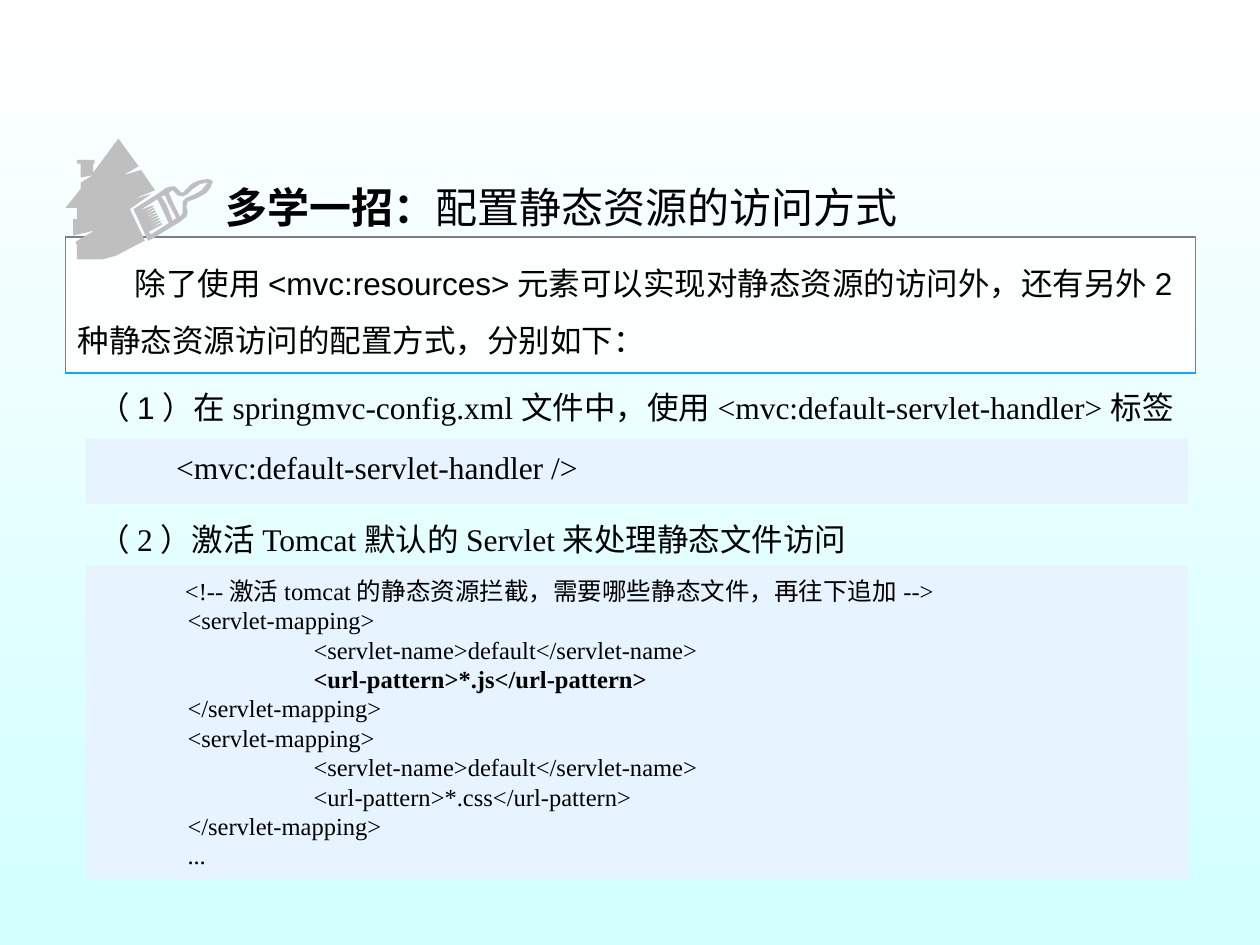
import pptx
import pptx.dml.color
import pptx.enum.shapes
import pptx.oxml.ns
import pptx.util
from dataclasses import dataclass
from lxml import etree

Inches = pptx.util.Inches
Pt = pptx.util.Pt


@dataclass(frozen=True)
class Theme:
    sky: str = "FFFFFF"
    aqua: str = "D2FFFF"
    panel: str = "FFFFFF"
    code_panel: str = "E7F4FF"
    border: str = "7F7F7F"
    accent: str = "00B0F0"
    icon: str = "BFBFBF"
    ink: str = "000000"
    sans: str = "Arial"
    heading: str = "Noto Sans CJK SC"
    serif: str = "Times New Roman"
    title_size: int = 24
    body_size: int = 18
    listing_size: int = 14


THEME = Theme()

HOUSE = [[
    (29, 96), (40, 93), (63, 81), (51, 56), (68, 44), (54, 48), (71, 41),
    (60, 25), (46, 29), (58, 22), (42, 0), (22, 27), (22, 20), (23, 20),
    (23, 17), (9, 17), (9, 20), (12, 20), (12, 31), (22, 29), (12, 35),
    (12, 40), (0, 55), (9, 55), (9, 64), (6, 64), (6, 77), (23, 73),
    (8, 82), (9, 85), (9, 96),
]]
BRISTLES = [
    point
    for step in range(8)
    for point in ((12 - step, 42 - 2 * step), (23 - step, 36 - 2 * step),
                  (22 - step, 35 - 2 * step))
]
BRUSH = [
    [(62, 1), (59, 0), (53, 1), (50, 2), (46, 4), (39, 11), (37, 10),
     (33, 6), (30, 6), (26, 7), (19, 12), (0, 24), (11, 48), (12, 49),
     (14, 48), (37, 34), (42, 30), (43, 26), (42, 22), (43, 18), (51, 15),
     (58, 11), (61, 7), (63, 2)],
    [(50, 6), (53, 4), (59, 3), (54, 9), (49, 12), (42, 15), (39, 18),
     (39, 27), (37, 30), (32, 20), (28, 11), (31, 9), (35, 13), (39, 14),
     (43, 12), (47, 8)],
    [(28, 20), (34, 31), (31, 33), (26, 20), (22, 14), (25, 13)],
    [(21, 20), (28, 35), (14, 44), *BRISTLES, (5, 25), (19, 16)],
]

LISTING = [
    (0.48, "<!--激活tomcat的静态资源拦截，需要哪些静态文件，再往下追加-->", False),
    (0.5, "<servlet-mapping>", False),
    (1.5, "<servlet-name>default</servlet-name>", False),
    (1.5, "<url-pattern>*.js</url-pattern>", True),
    (0.5, "</servlet-mapping>", False),
    (0.5, "<servlet-mapping>", False),
    (1.5, "<servlet-name>default</servlet-name>", False),
    (1.5, "<url-pattern>*.css</url-pattern>", False),
    (0.5, "</servlet-mapping>", False),
    (0.5, "...", False),
]


def color(value):
    return pptx.dml.color.RGBColor.from_string(value)


def style(font, name, size, bold=False):
    font.name = name
    font.size = Pt(size)
    font.bold = bold
    font.color.rgb = color(THEME.ink)


def add_text_box(page, left, top, width, height):
    box = page.shapes.add_textbox(
        Inches(left), Inches(top), Inches(width), Inches(height))
    box.text_frame.word_wrap = True
    return box.text_frame


def indent(para, left, first=0):
    properties = para._p.get_or_add_pPr()
    properties.set("marL", str(Inches(left)))
    properties.set("indent", str(Inches(first)))


def add_panel(page, left, top, width, height, fill):
    panel = page.shapes.add_shape(
        pptx.enum.shapes.MSO_SHAPE.RECTANGLE,
        Inches(left), Inches(top), Inches(width), Inches(height))
    panel.shadow.inherit = False
    panel.fill.solid()
    panel.fill.fore_color.rgb = color(fill)
    panel.line.fill.background()
    return panel


def add_outline(page, left, top, contours):
    first, *others = contours
    builder = page.shapes.build_freeform(*first[0], scale=Inches(0.01))
    builder.add_line_segments(first[1:], close=True)
    for contour in others:
        builder.move_to(*contour[0])
        builder.add_line_segments(contour[1:], close=True)
    outline = builder.convert_to_shape(Inches(left), Inches(top))
    outline.shadow.inherit = False
    outline.fill.solid()
    outline.fill.fore_color.rgb = color(THEME.icon)
    outline.line.fill.background()


def add_header(page, left, top, width, height):
    add_outline(page, left, top, HOUSE)
    add_outline(page, left + 0.54, top + 0.32, BRUSH)
    frame = add_text_box(page, left + 1.17, top + 0.09, width - 1.17, height)
    para = frame.paragraphs[0]
    para.line_spacing = 1.5
    for text, bold in (("多学一招：", True), ("配置静态资源的访问方式", False)):
        span = para.add_run()
        span.text = text
        style(span.font, THEME.heading, THEME.title_size, bold)


def add_intro(page, left, top, width, height):
    panel = add_panel(page, left, top, width, height, THEME.panel)
    panel.line.color.rgb = color(THEME.border)
    panel.line.width = Pt(0.75)
    fill = panel.fill._xPr.find(".//" + pptx.oxml.ns.qn("a:srgbClr"))
    etree.SubElement(fill, pptx.oxml.ns.qn("a:alpha"), val="90000")
    edge = page.shapes.add_connector(
        pptx.enum.shapes.MSO_CONNECTOR.STRAIGHT, Inches(left),
        Inches(top + height), Inches(left + width), Inches(top + height))
    edge.line.color.rgb = color(THEME.accent)
    edge.line.width = Pt(1)
    etree.SubElement(edge._element.spPr, pptx.oxml.ns.qn("a:effectLst"))
    frame = add_text_box(page, left, top + 0.02, width, height - 0.08)
    para = frame.paragraphs[0]
    para.text = ("除了使用<mvc:resources>元素可以实现对静态资源的访问外，"
                 "还有另外2种静态资源访问的配置方式，分别如下：")
    para.line_spacing = 1.5
    indent(para, 0, 0.45)
    style(para.font, THEME.sans, THEME.body_size)


def add_step(page, left, top, width, height, spans):
    para = add_text_box(page, left, top, width, height).paragraphs[0]
    for text, name in spans:
        span = para.add_run()
        span.text = text
        style(span.font, name, THEME.body_size)


def add_code(page, left, top, width, height, lines, size):
    add_panel(page, left, top, width, height, THEME.code_panel)
    frame = add_text_box(
        page, left + 0.21, top + 0.03, width - 0.45, height - 0.05)
    for number, (margin, text, bold) in enumerate(lines):
        para = frame.add_paragraph() if number else frame.paragraphs[0]
        para.text = text
        indent(para, margin)
        style(para.font, THEME.serif, size, bold)


def add_background(page):
    fill = page.background.fill
    fill.gradient()
    fill.gradient_angle = 270
    for stop, value in zip(fill.gradient_stops, (THEME.sky, THEME.aqua)):
        stop.color.rgb = color(value)


def main():
    deck = pptx.Presentation()
    deck.slide_width = Inches(10)
    deck.slide_height = Inches(7.5)
    page = deck.slides.add_slide(deck.slide_layouts[6])
    add_background(page)
    add_intro(page, 0.52, 1.88, 8.97, 1.08)
    add_header(page, 0.52, 1.1, 8.96, 0.7)
    add_step(page, 0.68, 3.03, 8.75, 0.4, [
        ("（1）", THEME.sans),
        ("在springmvc-config.xml文件中，使用<mvc:default-servlet-handler>标签",
         THEME.serif)])
    add_code(page, 0.68, 3.48, 8.75, 0.52,
             [(0.41, "<mvc:default-servlet-handler />", False)],
             THEME.body_size)
    add_step(page, 0.68, 4.08, 8.75, 0.4, [
        ("（2）激活Tomcat默认的Servlet来处理静态文件访问", THEME.serif)])
    add_code(page, 0.68, 4.49, 8.75, 2.49, LISTING, THEME.listing_size)
    deck.save("out.pptx")


if __name__ == "__main__":
    main()
